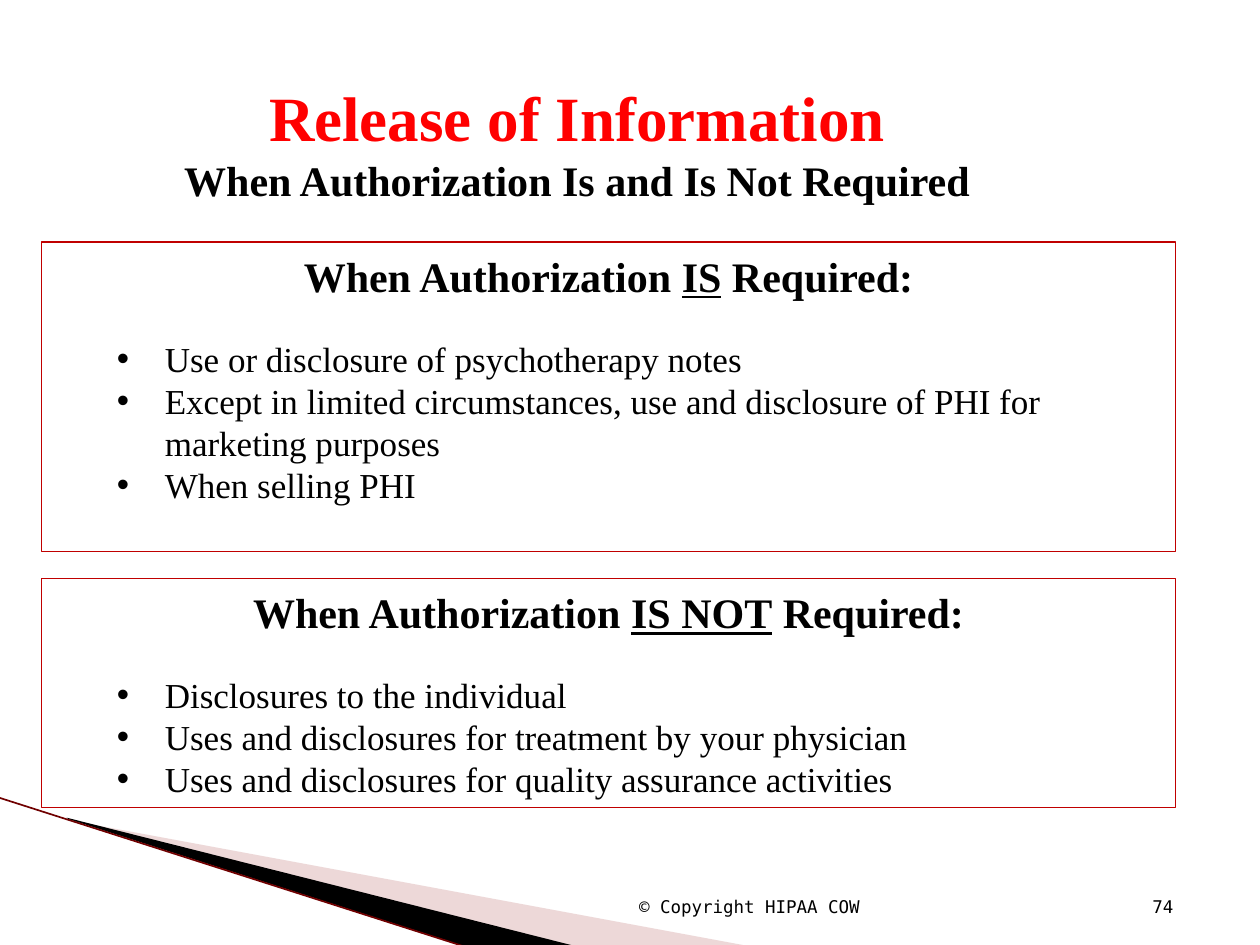
"""Build the slide on when release of information needs authorization."""
from dataclasses import dataclass
from typing import Any

from lxml.etree import SubElement
from pptx import Presentation
from pptx.dml.color import RGBColor
from pptx.enum.shapes import MSO_CONNECTOR, MSO_SHAPE
from pptx.enum.text import MSO_ANCHOR, PP_ALIGN
from pptx.oxml.ns import qn
from pptx.util import Inches, Pt

BLACK = RGBColor(0x00, 0x00, 0x00)
RED = RGBColor(0xFF, 0x00, 0x00)
BORDER_RED = RGBColor(0xC0, 0x00, 0x00)
EDGE_RED = RGBColor(0x70, 0x00, 0x00)
ROSE = RGBColor(0xD2, 0x9E, 0x9E)

SERIF = "Times New Roman"
MONO = "DejaVu Sans Mono"
HEADING = {"name": SERIF, "size": Pt(24), "bold": True}
BULLET = {"name": SERIF, "size": Pt(20), "bold": False}
FOOTER = {"name": MONO, "size": Pt(10)}


@dataclass
class Panel:
    top: float
    height: float
    emphasis: str
    items: list[str]


@dataclass
class Wedge:
    points: list[tuple[float, float]]
    color: RGBColor
    opacity: int = 100


@dataclass
class Footer:
    left: float
    width: float
    text: str


PANELS = [
    Panel(1.92, 2.46, "IS", [
        "Use or disclosure of psychotherapy notes",
        "Except in limited circumstances, use and disclosure of PHI for marketing purposes",
        "When selling PHI",
    ]),
    Panel(4.59, 1.82, "IS NOT", [
        "Disclosures to the individual",
        "Uses and disclosures for treatment by your physician",
        "Uses and disclosures for quality assurance activities",
    ]),
]
WEDGES = [
    Wedge([(0.55, 6.51), (5.95, 7.51), (4.56, 7.51), (0.55, 6.5)], ROSE, 40),
    Wedge([(0.53, 6.49), (4.57, 7.51), (3.72, 7.52), (0.54, 6.5)], BLACK),
]
FOOTERS = [Footer(3.75, 3.17, "© Copyright HIPAA COW"), Footer(7.33, 2.08, "74")]


def set_values(target: Any, values: dict[str, Any]) -> None:
    for name, value in values.items():
        setattr(target, name, value)


def add_span(para: Any, text: str, style: dict[str, Any], color: RGBColor = BLACK) -> Any:
    span = para.add_run()
    span.text = text
    set_values(span.font, style)
    span.font.color.rgb = color
    return span


def add_wedge(page: Any, wedge: Wedge) -> None:
    start, *rest = [(Inches(x), Inches(y)) for x, y in wedge.points]
    builder = page.shapes.build_freeform(*start)
    builder.add_line_segments(rest)
    shape = builder.convert_to_shape()
    shape.shadow.inherit = False
    shape.fill.solid()
    shape.fill.fore_color.rgb = wedge.color
    shape.line.fill.background()
    if wedge.opacity < 100:
        color = shape.fill._xPr.find(f".//{qn('a:srgbClr')}")
        SubElement(color, qn("a:alpha"), val=str(wedge.opacity * 1000))


def add_edge(page: Any) -> None:
    edge = page.shapes.add_connector(
        MSO_CONNECTOR.STRAIGHT, Inches(-0.01), Inches(6.33), Inches(3.71), Inches(7.52))
    edge.line.color.rgb = EDGE_RED
    edge.line.width = Pt(0.95)
    SubElement(edge._element.spPr, qn("a:effectLst"))


def add_title(page: Any) -> None:
    box = page.shapes.add_textbox(Inches(1.08), Inches(0.42), Inches(7), Inches(1.33))
    set_values(box.text_frame, {
        "word_wrap": True, "vertical_anchor": MSO_ANCHOR.MIDDLE, "margin_top": Inches(0.13)})
    para = box.text_frame.paragraphs[0]
    para.alignment = PP_ALIGN.CENTER
    add_span(para, "Release of Information", HEADING | {"size": Pt(36)}, RED)
    para.add_line_break()
    add_span(para, "When Authorization Is and Is Not Required", HEADING)


def add_bullet(frame: Any, text: str, space_before: int) -> None:
    para = frame.add_paragraph()
    properties = para._p.get_or_add_pPr()
    properties.set("marL", str(Inches(0.88)))
    properties.set("indent", str(Inches(-0.38)))
    SubElement(properties, qn("a:buFont"), typeface="Arial")
    SubElement(properties, qn("a:buChar"), char="•")
    set_values(para, {
        "level": 1, "alignment": PP_ALIGN.LEFT,
        "line_spacing": Pt(24), "space_before": Pt(space_before)})
    add_span(para, text, BULLET)


def add_panel(page: Any, panel: Panel) -> None:
    box = page.shapes.add_shape(
        MSO_SHAPE.RECTANGLE, Inches(0.33), Inches(panel.top), Inches(9), Inches(panel.height))
    box.shadow.inherit = False
    box.fill.background()
    box.line.color.rgb = BORDER_RED
    box.line.width = Pt(0.75)
    frame = box.text_frame
    set_values(frame, {"word_wrap": True, "vertical_anchor": MSO_ANCHOR.TOP})
    heading = frame.paragraphs[0]
    set_values(heading, {"alignment": PP_ALIGN.CENTER, "line_spacing": Pt(30)})
    add_span(heading, "When Authorization ", HEADING)
    add_span(heading, panel.emphasis, HEADING | {"underline": True})
    add_span(heading, " Required:", HEADING)
    for index, item in enumerate(panel.items):
        add_bullet(frame, item, 0 if index else 21)


def add_footer(page: Any, footer: Footer) -> None:
    box = page.shapes.add_textbox(
        Inches(footer.left), Inches(6.83), Inches(footer.width), Inches(0.5))
    set_values(box.text_frame, {"word_wrap": True, "vertical_anchor": MSO_ANCHOR.BOTTOM})
    para = box.text_frame.paragraphs[0]
    para.alignment = PP_ALIGN.RIGHT
    add_span(para, footer.text, FOOTER)


def main() -> None:
    deck = Presentation()
    set_values(deck, {"slide_width": Inches(10), "slide_height": Inches(7.5)})
    page = deck.slides.add_slide(deck.slide_layouts[6])
    for wedge in WEDGES:
        add_wedge(page, wedge)
    add_edge(page)
    add_title(page)
    for panel in PANELS:
        add_panel(page, panel)
    for footer in FOOTERS:
        add_footer(page, footer)
    deck.save("out.pptx")


if __name__ == "__main__":
    main()
